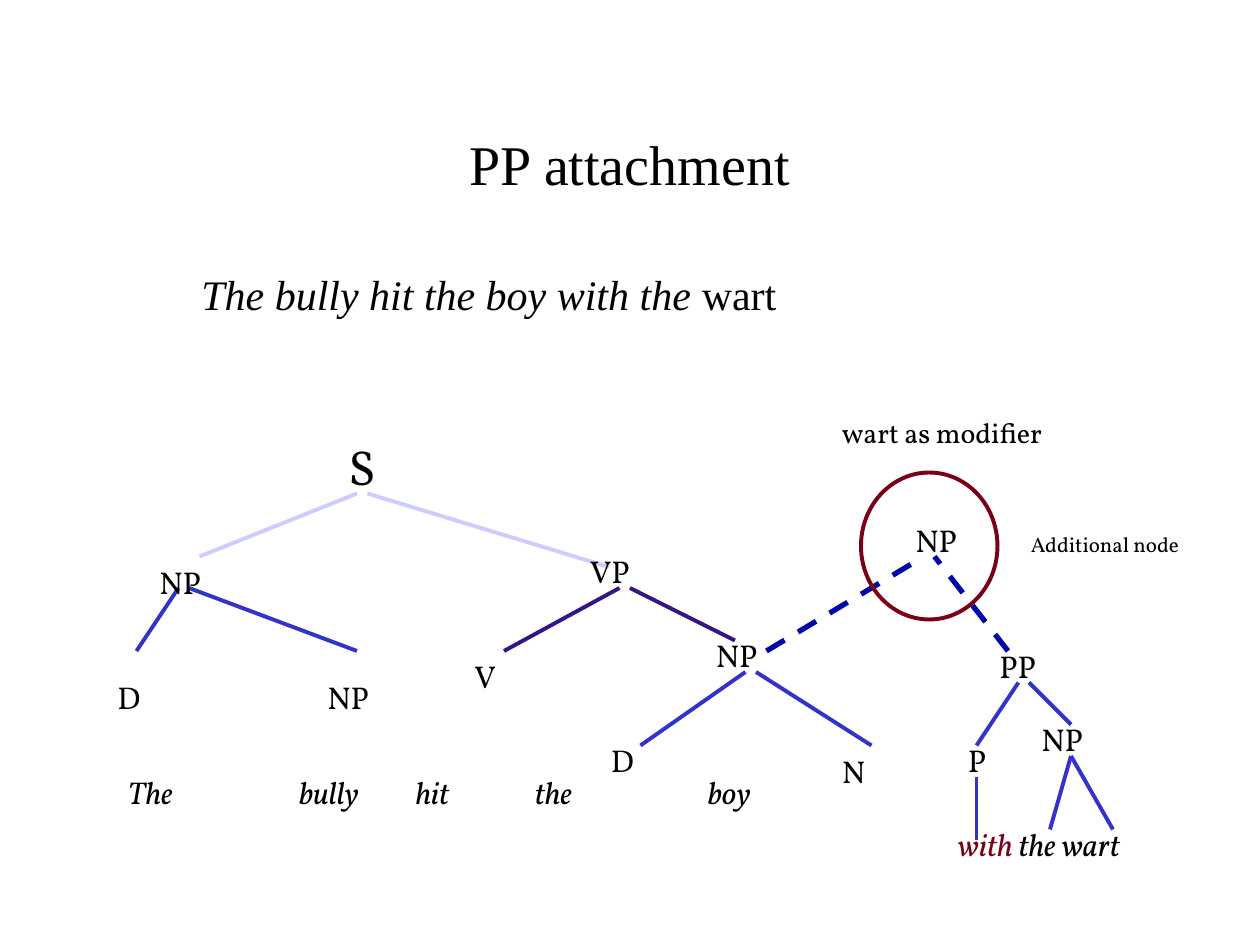
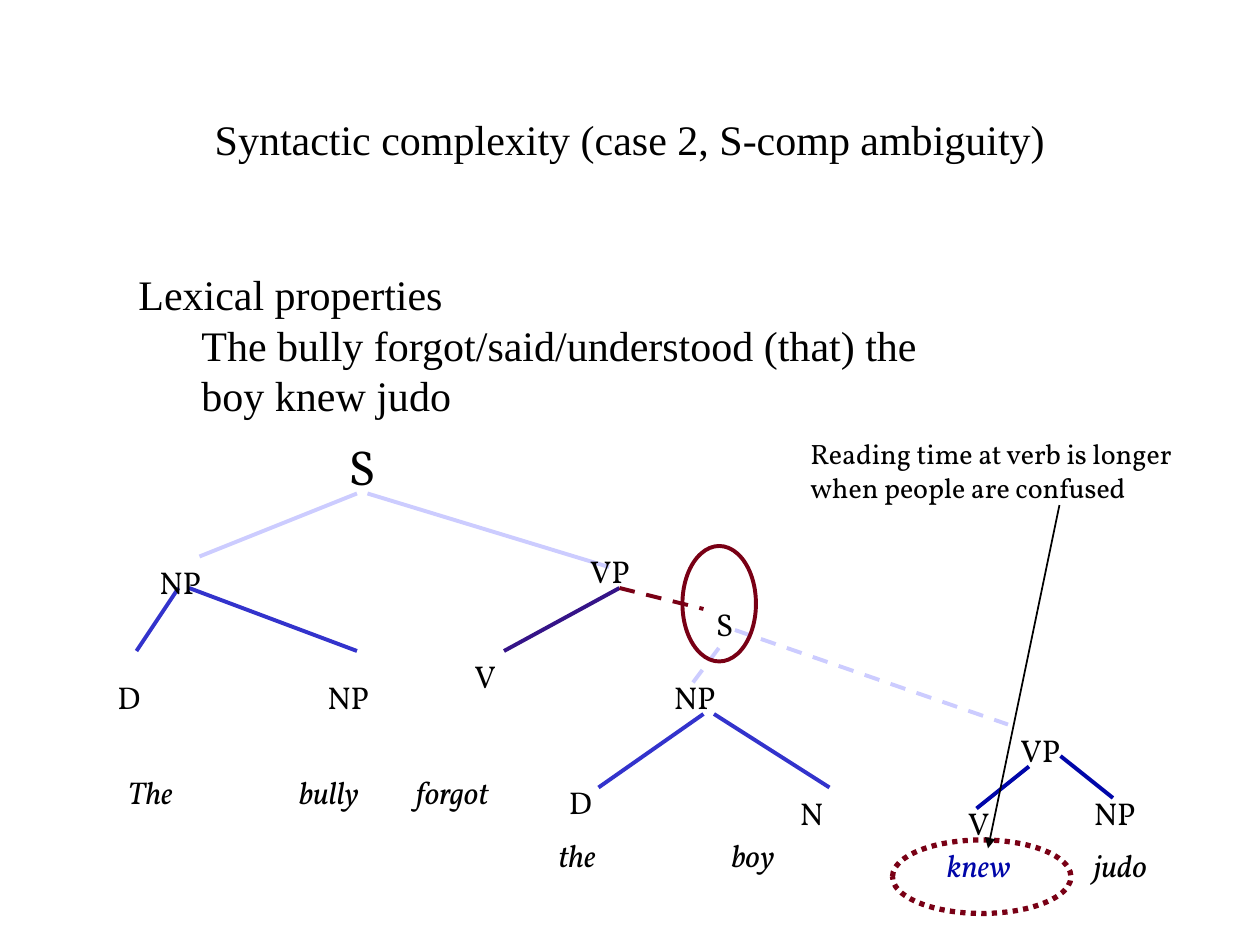
from lxml import etree
from pptx import Presentation
from pptx import util as u
from pptx.dml import color
from pptx.enum import dml, shapes, text
from pptx.oxml import ns

COLOURS = {
    "black": "000000",
    "lavender": "CCCCFF",
    "royal": "3333CC",
    "violet": "351488",
    "navy": "0006A9",
    "burgundy": "790015",
}
TITLE_FONT = "Times New Roman"
TREE_FONT = "Vollkorn"
GRID = 2.54 / 12
WORD_ROW = 73
DASH = dml.MSO_LINE.DASH
DOTS = dml.MSO_LINE.ROUND_DOT


def grid(*steps):
    return [u.Cm(step * GRID) for step in steps]


def rgb(name):
    return color.RGBColor.from_string(COLOURS[name])


def style_run(run, size, font, colour="black", italic=False):
    run.font.size = u.Pt(size)
    run.font.name = font
    run.font.color.rgb = rgb(colour)
    run.font.italic = italic


def style_line(line, colour, weight, dash):
    line.color.rgb = rgb(colour)
    line.width = u.Pt(weight)
    if dash is not None:
        line.dash_style = dash


def add_frame(slide, left, top, width, height):
    frame = slide.shapes.add_textbox(*grid(left, top, width, height)).text_frame
    frame.word_wrap = True
    return frame


def add_title(slide, title, size, top=8):
    frame = add_frame(slide, 9, top, 102, 15)
    frame.vertical_anchor = text.MSO_ANCHOR.MIDDLE
    frame.text = title
    frame.paragraphs[0].alignment = text.PP_ALIGN.CENTER
    style_run(frame.paragraphs[0].runs[0], size, TITLE_FONT)


def add_example(slide, sentence, heading=None, upright_end=""):
    frame = add_frame(slide, 12, 25, 81, 6)
    example = frame.paragraphs[0]
    if heading:
        example.text = heading
        style_run(example.runs[0], 24, TITLE_FONT)
        example = frame.add_paragraph()
    example.text = sentence
    example._p.get_or_add_pPr().set("marL", str(u.Cm(1.27)))
    style_run(example.runs[0], 24, TITLE_FONT, italic=bool(upright_end))
    if upright_end:
        ending = example.add_run()
        ending.text = upright_end
        style_run(ending, 24, TITLE_FONT)


def add_label(slide, label, left, top, size=18, width=12, colour="black", italic=False):
    frame = add_frame(slide, left, top, width, 5)
    frame.text = label
    style_run(frame.paragraphs[0].runs[0], size, TREE_FONT, colour, italic)
    return frame.paragraphs[0]


def add_labels(slide, *labels):
    for label in labels:
        add_label(slide, *label)


def add_words(slide, top, *words):
    for word, left in words:
        add_label(slide, word, left, top, italic=True)


def add_branch(slide, ends, colour, weight=2.25, dash=None):
    branch = slide.shapes.add_connector(shapes.MSO_CONNECTOR.STRAIGHT, *grid(*ends))
    style_line(branch.line, colour, weight, dash)
    etree.SubElement(branch._element.spPr, ns.qn("a:effectLst"))
    return branch


def add_branches(slide, colour, *branches, weight=2.25, dash=None):
    for ends in branches:
        add_branch(slide, ends, colour, weight, dash)


def add_arrow(slide, ends):
    arrow = add_branch(slide, ends, "black", 1)
    etree.SubElement(arrow.line._get_or_add_ln(), ns.qn("a:tailEnd"), type="triangle")


def add_ring(slide, left, top, width, height, weight=2.25, dash=None):
    ring = slide.shapes.add_shape(shapes.MSO_SHAPE.OVAL, *grid(left, top, width, height))
    ring.shadow.inherit = False
    ring.fill.background()
    style_line(ring.line, "burgundy", weight, dash)


def add_main_clause(slide, verb):
    add_branches(slide, "lavender", (19, 53, 34, 47), (35, 47, 58, 54))
    add_branches(slide, "royal", (13, 62, 17, 56), (18, 56, 34, 62))
    add_branches(slide, "violet", (48, 62, 59, 56))
    add_label(slide, "S", 32, 41, size=28)
    add_labels(slide, ("NP", 14, 53), ("D", 10, 64), ("NP", 30, 64),
               ("VP", 55, 52), ("V", 44, 62))
    add_words(slide, WORD_ROW, ("The", 11), ("bully", 27.3), (verb, 38.4))


def add_noun_phrase(slide, left, top):
    add_branches(slide, "royal", (left - 6, top + 11, left + 4, top + 4),
                 (left + 5, top + 4, left + 16, top + 11))
    add_labels(slide, ("NP", left, top), ("D", left - 10, top + 10),
               ("N", left + 12, top + 11))


def build_attachment(slide):
    add_title(slide, "PP attachment", 32)
    add_example(slide, "The bully hit the boy with the", upright_end=" wart")
    add_main_clause(slide, "hit")
    add_branches(slide, "violet", (60, 56, 70, 61))
    add_noun_phrase(slide, 67, 60)
    add_words(slide, WORD_ROW, ("the", 49.75), ("boy", 66.25))

    add_labels(slide, ("PP", 94, 61), ("NP", 98, 68), ("P", 91, 70), ("NP", 86, 49))
    preposition = add_label(slide, "with ", 90, 78, width=25, colour="burgundy", italic=True)
    wart = preposition.add_run()
    wart.text = "the wart"
    style_run(wart, 18, TREE_FONT, italic=True)
    add_branches(slide, "royal", (100, 79, 102, 72), (102, 72, 106, 79),
                 (98, 65, 102, 69), (93, 71, 97, 65), (93, 80, 93, 74))
    add_branches(slide, "navy", (73, 62, 88, 53), (96, 62, 89, 53), weight=3, dash=DASH)
    add_ring(slide, 82, 45, 13, 14)
    add_label(slide, "wart as modifier", 79, 39, size=16, width=24)
    add_label(slide, "Additional node", 97, 50, size=12, width=23)


def build_complexity(slide):
    add_title(slide, "Syntactic complexity (case 2, S-comp ambiguity)", 24, top=5.7)
    add_example(slide, "The bully forgot/said/understood (that) the boy knew judo",
                heading="Lexical properties")
    add_main_clause(slide, "forgot")
    add_noun_phrase(slide, 63, 64)
    add_words(slide, 79, ("the", 52), ("boy", 68.5))

    add_branches(slide, "burgundy", (59, 56, 67, 58), dash=DASH)
    add_branches(slide, "lavender", (66, 65, 69, 61), (70, 60, 96, 69), dash=DASH)
    add_branches(slide, "navy", (93, 77, 98, 73), (101, 72, 106, 76))
    add_labels(slide, ("S", 67, 57), ("VP", 96, 69), ("V", 91, 76), ("NP", 103, 75))
    add_label(slide, "knew", 89, 80, colour="navy", italic=True)
    add_words(slide, 80, ("judo", 103))
    add_ring(slide, 65, 52, 7, 11)
    add_ring(slide, 85, 80, 17, 7, weight=3, dash=DOTS)
    add_arrow(slide, (100.9, 48.1, 94.1, 80.8))
    add_label(slide, "Reading time at verb is longer when people are confused",
              76, 41, size=16, width=42)


def main():
    deck = Presentation()
    deck.slide_width, deck.slide_height = u.Cm(25.4), u.Cm(19.05)
    for build in (build_attachment, build_complexity):
        build(deck.slides.add_slide(deck.slide_layouts[6]))
    deck.save("out.pptx")


if __name__ == "__main__":
    main()
